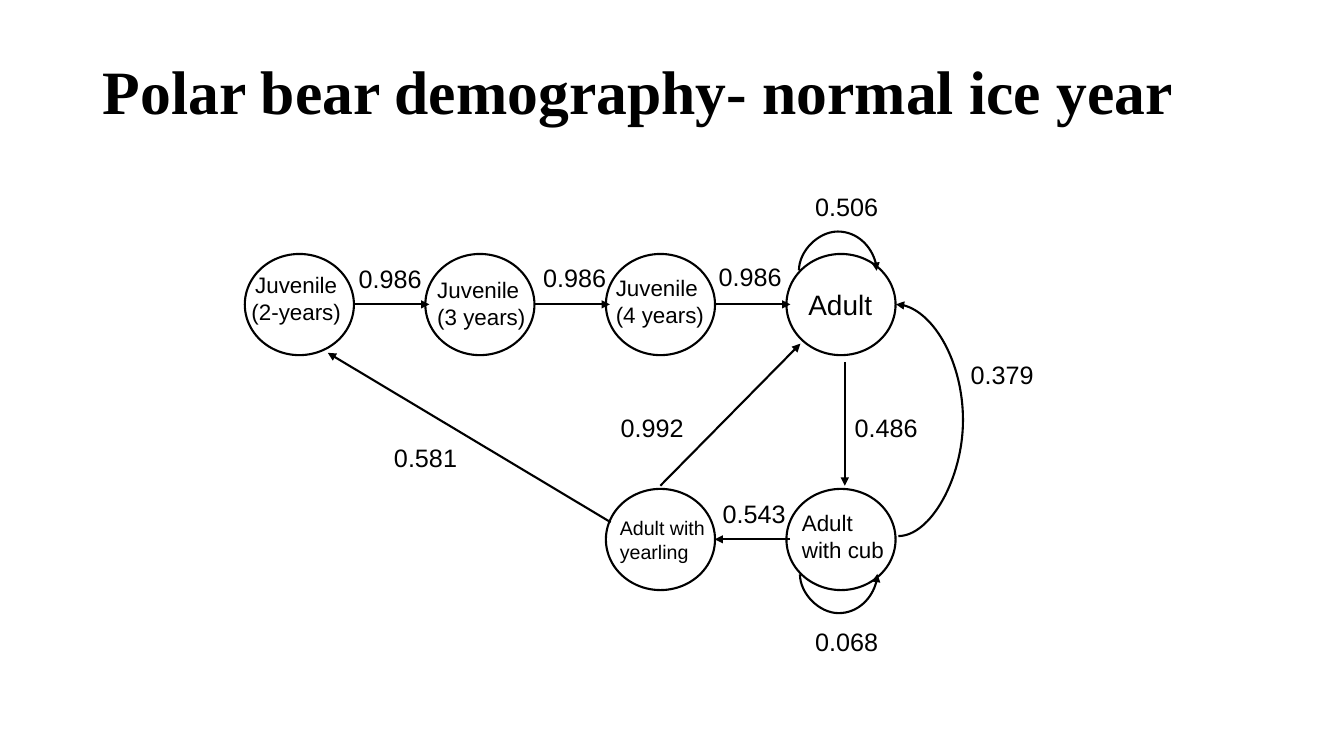
import dataclasses

import pptx
import pptx.dml.color
import pptx.enum.shapes
import pptx.enum.text
import pptx.oxml
import pptx.oxml.ns
import pptx.shapes.connector
import pptx.slide
import pptx.text.text
import pptx.util
from pptx.util import Cm

COLOURS = {"ink": "000000", "background": "FFFFFF"}
LINE_WIDTH = pptx.util.Pt(1.5)
CIRCLE_WIDTH, CIRCLE_HEIGHT = 2.75, 2.55
FIRST_COLUMN, COLUMN_PITCH = 6.17, 4.55
UPPER_ROW, LOWER_ROW = 6.4, 12.32
ALIGN = pptx.enum.text.PP_ALIGN


@dataclasses.dataclass(frozen=True)
class Caption:
    text: str
    left: float
    top: float
    width: float = 2.11
    height: float = 1.02
    size: int = 18
    wrap: bool = False
    align: ALIGN = ALIGN.LEFT


@dataclasses.dataclass(frozen=True)
class Transition:
    """An arrow; one with a bulge is curved and may be turned by degrees."""
    begin: tuple[float, float]
    end: tuple[float, float]
    bulge: float = 0
    rotation: int = 0


STAGE_CELLS = [(column, UPPER_ROW) for column in range(4)] + [
    (column, LOWER_ROW) for column in (2, 3)]

STAGE_NAMES = [
    Caption("Juvenile\n(2-years)", 6.07, 6.71, 2.79, 1.63, 16, align=ALIGN.CENTER),
    Caption("Juvenile\n(3 years)", 10.77, 6.83, 2.77, 1.63, 16),
    Caption("Juvenile\n(4 years)", 15.27, 6.78, 2.77, 1.63, 16),
    Caption("Adult", 20.12, 7.11, 2.13, 1.12, 20),
    Caption("Adult with yearling", 15.37, 12.88, 2.79, 1.45, 14, wrap=True),
    Caption("Adult with cub", 19.96, 12.7, 2.67, 1.63, 16, wrap=True),
]

RATES = [
    Caption("0.986", 8.79, 6.5),
    Caption("0.986", 13.44, 6.48),
    Caption("0.986", 17.86, 6.45),
    Caption("0.506", 20.29, 4.7),
    Caption("0.379", 24.21, 8.94),
    Caption("0.486", 21.29, 10.26),
    Caption("0.992", 15.39, 10.26),
    Caption("0.581", 9.68, 11.02),
    Caption("0.543", 17.96, 12.42),
    Caption("0.068", 20.29, 15.67),
]

AGEING = [
    Transition((start, 7.67), (start + 1.9, 7.67))
    for start in (FIRST_COLUMN + CIRCLE_WIDTH + COLUMN_PITCH * i for i in range(3))
]
BREEDING = [
    Transition((21.29, 9.12), (21.29, 12.24)),
    Transition((19.91, 13.59), (18.01, 13.59)),
    Transition((16.64, 12.24), (20.17, 8.66)),
    Transition((15.39, 13.16), (8.26, 8.89)),
    Transition((22.64, 13.51), (22.58, 7.67), bulge=1.63),
]
STAYING = [
    Transition((21.11, 7.8), (21.12, 5.84), bulge=0.98, rotation=90),
    Transition((21.13, 13.49), (21.14, 15.44), bulge=0.98, rotation=270),
]


def colour(name: str) -> pptx.dml.color.RGBColor:
    return pptx.dml.color.RGBColor.from_string(COLOURS[name])


def apply_format(target: object, values: dict[str, object]) -> None:
    for attribute, value in values.items():
        setattr(target, attribute, value)


def format_font(font: pptx.text.text.Font, values: dict[str, object]) -> None:
    apply_format(font, values)
    font.color.rgb = colour("ink")


def add_title(slide: pptx.slide.Slide, text: str) -> None:
    title = slide.shapes.title
    apply_format(title, {"left": Cm(2.34), "top": Cm(0.53),
                         "width": Cm(29.21), "height": Cm(3.68)})
    frame = title.text_frame
    frame.text = text
    apply_format(frame, {"word_wrap": True,
                         "auto_size": pptx.enum.text.MSO_AUTO_SIZE.NONE,
                         "vertical_anchor": pptx.enum.text.MSO_ANCHOR.MIDDLE})
    paragraph = frame.paragraphs[0]
    apply_format(paragraph, {"alignment": ALIGN.LEFT, "line_spacing": 0.9})
    format_font(paragraph.runs[0].font, {
        "name": "Times New Roman", "size": pptx.util.Pt(44), "bold": True})


def add_stage(slide: pptx.slide.Slide, column: int, top: float) -> None:
    circle = slide.shapes.add_shape(
        pptx.enum.shapes.MSO_SHAPE.OVAL,
        Cm(FIRST_COLUMN + COLUMN_PITCH * column), Cm(top),
        Cm(CIRCLE_WIDTH), Cm(CIRCLE_HEIGHT))
    circle.shadow.inherit = False
    circle.fill.background()
    circle.line.color.rgb = colour("ink")
    circle.line.width = LINE_WIDTH


def add_caption(slide: pptx.slide.Slide, caption: Caption) -> None:
    box = slide.shapes.add_textbox(
        Cm(caption.left), Cm(caption.top), Cm(caption.width), Cm(caption.height))
    frame = box.text_frame
    frame.text = caption.text
    apply_format(frame, {
        "word_wrap": caption.wrap,
        "auto_size": pptx.enum.text.MSO_AUTO_SIZE.SHAPE_TO_FIT_TEXT})
    for paragraph in frame.paragraphs:
        paragraph.alignment = caption.align
        format_font(paragraph.runs[0].font, {
            "name": "Arial", "size": pptx.util.Pt(caption.size)})


def bend(connector: pptx.shapes.connector.Connector, transition: Transition) -> None:
    """Push the curve's middle out beyond its start and turn the whole arrow."""
    properties = connector._element.spPr
    properties.find(pptx.oxml.ns.qn("a:xfrm")).set(
        "rot", str(transition.rotation * 60000))
    width = abs(transition.end[0] - transition.begin[0])
    adjustment = round(-transition.bulge / width * 100000)
    geometry = properties.find(pptx.oxml.ns.qn("a:prstGeom"))
    guides = geometry.find(pptx.oxml.ns.qn("a:avLst"))
    guide = pptx.oxml.parse_xml(
        f'<a:gd {pptx.oxml.ns.nsdecls("a")} name="adj1" fmla="val {adjustment}"/>')
    guides.append(guide)


def add_transition(slide: pptx.slide.Slide, transition: Transition) -> None:
    kinds = pptx.enum.shapes.MSO_CONNECTOR
    connector = slide.shapes.add_connector(
        kinds.CURVE if transition.bulge else kinds.STRAIGHT,
        *(Cm(value) for value in transition.begin + transition.end))
    connector.line.color.rgb = colour("ink")
    connector.line.width = LINE_WIDTH
    if transition.bulge:
        bend(connector, transition)
    namespace = pptx.oxml.ns.nsdecls("a")
    connector.line._get_or_add_ln().append(
        pptx.oxml.parse_xml(f'<a:tailEnd {namespace} type="triangle"/>'))
    connector._element.spPr.append(
        pptx.oxml.parse_xml(f"<a:effectLst {namespace}/>"))


def main() -> None:
    presentation = pptx.Presentation()
    apply_format(presentation, {"slide_width": Cm(33.87), "slide_height": Cm(19.05)})
    slide = presentation.slides.add_slide(presentation.slide_layouts[5])
    slide.background.fill.solid()
    slide.background.fill.fore_color.rgb = colour("background")
    add_title(slide, "Polar bear demography- normal ice year")
    for column, top in STAGE_CELLS:
        add_stage(slide, column, top)
    for transition in AGEING + BREEDING + STAYING:
        add_transition(slide, transition)
    for caption in STAGE_NAMES + RATES:
        add_caption(slide, caption)
    presentation.save("out.pptx")


if __name__ == "__main__":
    main()
